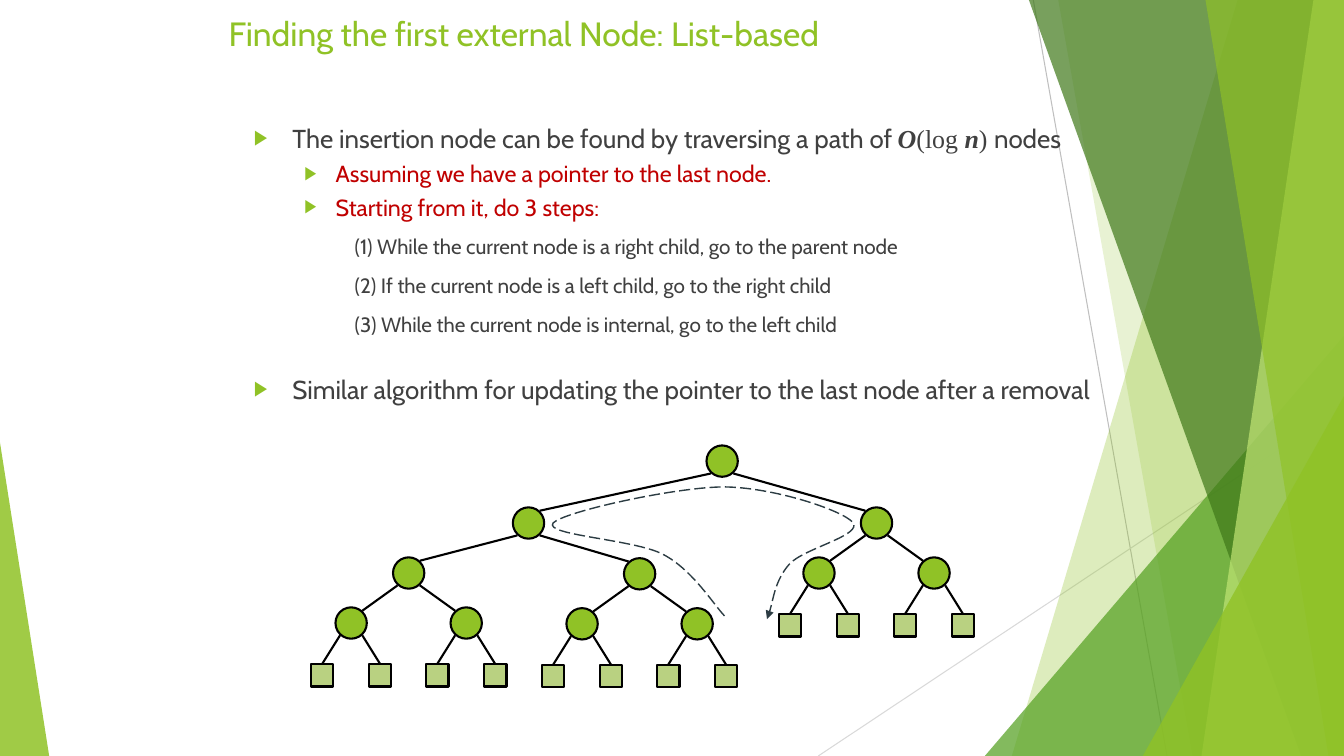
from lxml.etree import SubElement
from pptx import Presentation
from pptx.dml.color import RGBColor
from pptx.enum.dml import MSO_LINE
from pptx.enum.shapes import MSO_CONNECTOR, MSO_SHAPE
from pptx.oxml.ns import qn
from pptx.util import Cm, Pt

GREEN = RGBColor(0x90, 0xC2, 0x26)
MID_GREEN = RGBColor(0x54, 0xA0, 0x21)
DARK_GREEN = RGBColor(0x3F, 0x78, 0x19)
LIGHT_GREEN = RGBColor(0xC0, 0xE4, 0x74)
LEAF_GREEN = RGBColor(0xB9, 0xD1, 0x81)
GRAY = RGBColor(0xBF, 0xBF, 0xBF)
PALE_GRAY = RGBColor(0xD9, 0xD9, 0xD9)
TEXT = RGBColor(0x40, 0x40, 0x40)
RED = RGBColor(0xC0, 0x00, 0x00)
BLACK = RGBColor(0, 0, 0)
SLATE = RGBColor(0x2C, 0x3C, 0x43)

WIDTH, HEIGHT = 33.87, 19.05
NODE, LEAF = 0.79, 0.57
EDGE_DX, EDGE_DY = 0.28, 0.31


def style(sp, fill, alpha=100, line=None):
    sp.shadow.inherit = False
    sp.fill.solid()
    sp.fill.fore_color.rgb = fill
    if alpha < 100:
        clr = sp._element.xpath("./p:spPr/a:solidFill/a:srgbClr")[0]
        SubElement(clr, qn("a:alpha")).set("val", str(alpha * 1000))
    if line is None:
        sp.line.fill.background()
    else:
        sp.line.color.rgb = line
        sp.line.width = Pt(1.5)


def add_line(s, x1, y1, x2, y2, color=BLACK, width=1.5):
    c = s.shapes.add_connector(MSO_CONNECTOR.STRAIGHT, Cm(x1), Cm(y1), Cm(x2), Cm(y2))
    c.line.color.rgb = color
    c.line.width = Pt(width)
    SubElement(c._element.spPr, qn("a:effectLst"))
    return c


def add_outline(s, points, close=True):
    pts = [(Cm(x), Cm(y)) for x, y in points]
    fb = s.shapes.build_freeform(*pts[0])
    fb.add_line_segments(pts[1:], close=close)
    return fb.convert_to_shape()


def add_text(p, text, size=18.5, color=TEXT, font="Cabin", bold=False, italic=False):
    r = p.add_run()
    r.text = text
    r.font.size = Pt(size)
    r.font.name = font
    r.font.color.rgb = color
    r.font.bold = bold
    r.font.italic = italic


def add_box(s, x, y, w, h):
    tf = s.shapes.add_textbox(Cm(x), Cm(y), Cm(w), Cm(h)).text_frame
    tf.word_wrap = True
    return tf


def format_paragraph(p, level, before):
    margin, indent = [(0.97, -0.97), (2.06, -0.79), (2.54, 0)][level]
    p.level = level
    p.space_before = Pt(before)
    pPr = p._p.get_or_add_pPr()
    pPr.set("marL", str(Cm(margin)))
    pPr.set("indent", str(Cm(indent)))
    if level == 2:
        return
    p.line_spacing = 0.7
    SubElement(SubElement(pPr, qn("a:buClr")), qn("a:srgbClr")).set("val", str(GREEN))
    SubElement(pPr, qn("a:buSzPct")).set("val", "80000")
    SubElement(pPr, qn("a:buFont")).set("typeface", "Cabin")
    SubElement(pPr, qn("a:buChar")).set("char", "▶")


def draw_backdrop(s, x, y, w, h):
    def band(top_x, bottom_x, fill, alpha):
        points = [(x + top_x, y), (x + w, y), (x + w, y + h), (x + bottom_x, y + h)]
        style(add_outline(s, points), fill, alpha)

    def wedge(left, top, right, apex, fill, alpha):
        sp = s.shapes.add_shape(MSO_SHAPE.ISOSCELES_TRIANGLE, Cm(x + left), Cm(y + top),
                                Cm(right - left), Cm(h - top))
        sp.adjustments[0] = apex
        style(sp, fill, alpha)

    add_line(s, x + 26.04, y, x + 29.41, y + h, GRAY, 0.75)
    add_line(s, x + w, y + 10.24, x + 20.62, y + h, PALE_GRAY, 0.75)
    band(31.19, 25.5, GREEN, 30)
    band(26.67, 30.05, GREEN, 20)
    wedge(24.82, 8.46, w, 1, MID_GREEN, 72)
    band(25.93, 32.79, DARK_GREEN, 70)
    band(33.1, 30.28, LIGHT_GREEN, 70)
    band(30.38, 33.48, GREEN, 65)
    wedge(28.8, 9.98, w, 1, GREEN, 80)
    wedge(0, 11.15, 1.24, 0, GREEN, 85)


def draw_title(s, x, y, w, h):
    tf = add_box(s, x, y, w, h)
    add_text(tf.paragraphs[0], "Finding the first external Node: List-based", size=24, color=GREEN)


def draw_body(s, x, y, w, h):
    tf = add_box(s, x, y, w, h)
    p = tf.paragraphs[0]
    format_paragraph(p, 0, 0)
    serif = "Times New Roman"
    add_text(p, "The insertion node can be found by traversing a path of ")
    add_text(p, "O", font=serif, bold=True, italic=True)
    add_text(p, "(log ", font=serif)
    add_text(p, "n", font=serif, bold=True, italic=True)
    add_text(p, ") ", font=serif)
    add_text(p, "nodes")
    items = [
        (1, 10, 16.6, RED, "Assuming we have a pointer to the last node."),
        (1, 10, 16.6, RED, "Starting from it, do 3 steps:"),
        (2, 10, 14.8, TEXT, "(1) While the current node is a right child, go to the parent node"),
        (2, 10, 14.8, TEXT, "(2) If the current node is a left child, go to the right child"),
        (2, 10, 14.8, TEXT, "(3) While the current node is internal, go to the left child"),
        (0, 32.6, 18.5, TEXT,
         "Similar algorithm for updating the pointer to the last node after a removal"),
    ]
    for level, before, size, color, text in items:
        p = tf.add_paragraph()
        format_paragraph(p, level, before)
        add_text(p, text, size=size, color=color)


def add_node(s, x, y):
    sp = s.shapes.add_shape(MSO_SHAPE.OVAL, Cm(x - NODE / 2), Cm(y - NODE / 2), Cm(NODE), Cm(NODE))
    style(sp, GREEN, line=BLACK)


def add_edge(s, parent, child):
    (px, py), (cx, cy) = parent, child
    dx = EDGE_DX if cx > px else -EDGE_DX
    add_line(s, px + dx, py + EDGE_DY, cx - dx, cy - EDGE_DY)


def add_leaf(s, parent, side):
    px, py = parent
    cx, top = px + side * 0.73, py + 1.03
    leaf = s.shapes.add_shape(MSO_SHAPE.RECTANGLE, Cm(cx - LEAF / 2), Cm(top), Cm(LEAF), Cm(LEAF))
    style(leaf, LEAF_GREEN, line=BLACK)
    c = add_line(s, px + side * EDGE_DX, py + EDGE_DY, cx, top)
    c.end_connect(leaf, 0)


def draw_subtree(s, x, y):
    add_node(s, x, y)
    for side in (-1, 1):
        child = (x + side * 1.45, y + 1.26)
        add_node(s, *child)
        add_edge(s, (x, y), child)
        for leaf_side in (-1, 1):
            add_leaf(s, child, leaf_side)


def draw_path(s, x, y):
    points = [
        (10.46, 4.32),
        (10.21, 4.07), (9.65, 3.15), (8.91, 2.77),
        (8.2, 2.39), (5.89, 2.29), (6.14, 1.98),
        (6.4, 1.7), (9.14, 1.09), (10.41, 1.07),
        (11.66, 1.07), (13.41, 1.65), (13.69, 1.96),
        (13.97, 2.29), (12.44, 2.62), (12.09, 3.02),
        (11.73, 3.43), (11.66, 4.12), (11.53, 4.4),
    ]
    sp = add_outline(s, [(x + px, y + py) for px, py in points], close=False)
    sp.shadow.inherit = False
    sp.fill.background()
    sp.line.color.rgb = SLATE
    sp.line.width = Pt(1)
    sp.line.dash_style = MSO_LINE.LONG_DASH
    SubElement(sp.line._ln, qn("a:tailEnd")).set("type", "triangle")
    path = sp._element.xpath(".//a:path")[0]
    segments = path.findall(qn("a:lnTo"))
    for i in range(0, len(segments), 3):
        curve = SubElement(path, qn("a:cubicBezTo"))
        for segment in segments[i:i + 3]:
            curve.append(segment[0])
            path.remove(segment)


def draw_tree(s, x, y):
    root = (x + 10.4, y + 0.42)
    left = (x + 5.52, y + 1.98)
    right = (x + 14.29, y + 1.98)
    add_node(s, *root)
    add_node(s, *left)
    add_edge(s, root, left)
    add_edge(s, root, right)
    draw_subtree(s, *right)
    for child in ((x + 2.5, y + 3.24), (x + 8.32, y + 3.26)):
        add_edge(s, left, child)
        draw_subtree(s, *child)
    draw_path(s, x, y)


def main():
    prs = Presentation()
    prs.slide_width, prs.slide_height = Cm(WIDTH), Cm(HEIGHT)
    s = prs.slides.add_slide(prs.slide_layouts[6])
    draw_backdrop(s, 0, 0, WIDTH, HEIGHT)
    draw_title(s, 5.51, 0.2, 22.86, 2.54)
    draw_body(s, 6.15, 3.18, 21.79, 8.46)
    draw_tree(s, 7.8, 11.2)
    prs.save("out.pptx")


if __name__ == "__main__":
    main()
